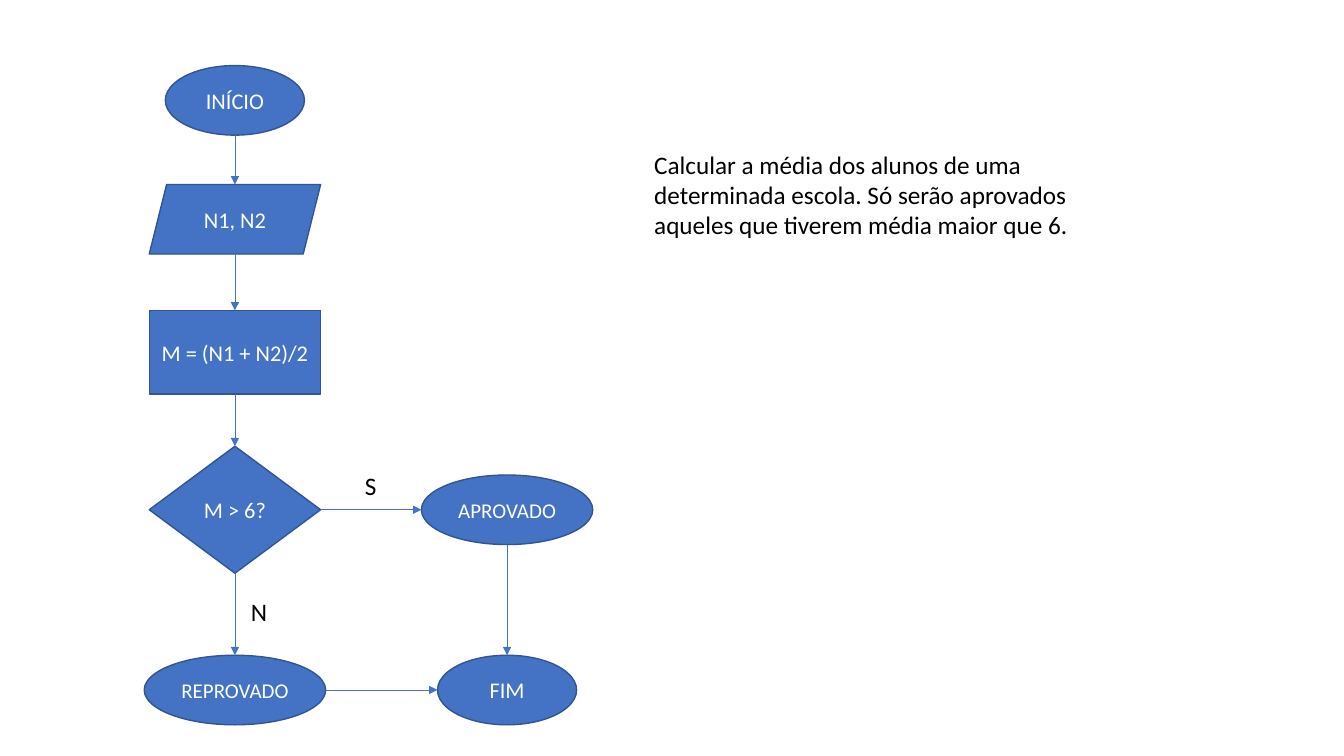
from lxml.etree import SubElement
from pptx import Presentation
from pptx.dml.color import RGBColor
from pptx.enum.shapes import MSO_CONNECTOR, MSO_SHAPE
from pptx.enum.text import MSO_ANCHOR, MSO_AUTO_SIZE, PP_ALIGN
from pptx.oxml.ns import qn
from pptx.util import Inches, Pt

BLUE = RGBColor(0x44, 0x72, 0xC4)
DARK_BLUE = RGBColor(0x32, 0x54, 0x91)
WHITE = RGBColor(0xFF, 0xFF, 0xFF)
BLACK = RGBColor(0x00, 0x00, 0x00)

TOP, LEFT, BOTTOM, RIGHT = range(4)
FOUR_SIDED = (MSO_SHAPE.RECTANGLE, MSO_SHAPE.DIAMOND)

LEFT_COLUMN, RIGHT_COLUMN = 17.48, 37.73
START_ROW, INPUT_ROW, AVERAGE_ROW, DECISION_ROW, END_ROW = 13.27, 29, 46.6, 67.43, 91.27
STEP_WIDTH, TERMINAL_WIDTH, FAILED_WIDTH = 12.75, 10.35, 13.5
STEP_HEIGHT, AVERAGE_HEIGHT, DECISION_HEIGHT = 9.2, 11.07, 16.8


class Flowchart:
    font_name = "Calibri"

    def __init__(self, presentation):
        self.width = presentation.slide_width
        self.height = presentation.slide_height
        self.slide = presentation.slides.add_slide(presentation.slide_layouts[6])

    def across(self, percent):
        return round(self.width * percent / 100)

    def down(self, percent):
        return round(self.height * percent / 100)

    def set_text(self, shape, text, size, color, alignment):
        paragraph = shape.text_frame.paragraphs[0]
        paragraph.text = text
        paragraph.alignment = alignment
        paragraph.font.name = self.font_name
        paragraph.font.size = Pt(size)
        paragraph.font.color.rgb = color

    def step(self, kind, text, column, row, width=STEP_WIDTH, height=STEP_HEIGHT, size=16):
        shape = self.slide.shapes.add_shape(
            kind,
            self.across(column - width / 2), self.down(row - height / 2),
            self.across(width), self.down(height),
        )
        shape.shadow.inherit = False
        shape.fill.solid()
        shape.fill.fore_color.rgb = BLUE
        shape.line.color.rgb = DARK_BLUE
        shape.line.width = Pt(1)
        shape.text_frame.word_wrap = False
        shape.text_frame.vertical_anchor = MSO_ANCHOR.MIDDLE
        self.set_text(shape, text, size, WHITE, PP_ALIGN.CENTER)
        return shape

    def side_point(self, shape, side):
        middle_x = shape.left + shape.width // 2
        middle_y = shape.top + shape.height // 2
        return {
            TOP: (middle_x, shape.top),
            LEFT: (shape.left, middle_y),
            BOTTOM: (middle_x, shape.top + shape.height),
            RIGHT: (shape.left + shape.width, middle_y),
        }[side]

    def arrow(self, source, source_side, target, target_side):
        connector = self.slide.shapes.add_connector(
            MSO_CONNECTOR.STRAIGHT,
            *self.side_point(source, source_side),
            *self.side_point(target, target_side),
        )
        if source.auto_shape_type in FOUR_SIDED:
            connector.begin_connect(source, source_side)
        if target.auto_shape_type in FOUR_SIDED:
            connector.end_connect(target, target_side)
        connector.line.color.rgb = BLUE
        connector.line.width = Pt(0.5)
        properties = connector._element.spPr
        SubElement(properties.find(qn("a:ln")), qn("a:tailEnd"), type="triangle")
        SubElement(properties, qn("a:effectLst"))

    def text(self, text, left, top, width, height, wrap=False):
        box = self.slide.shapes.add_textbox(
            self.across(left), self.down(top), self.across(width), self.down(height)
        )
        box.text_frame.word_wrap = wrap
        box.text_frame.auto_size = MSO_AUTO_SIZE.SHAPE_TO_FIT_TEXT
        self.set_text(box, text, 18, BLACK, PP_ALIGN.LEFT)


def main():
    presentation = Presentation()
    presentation.slide_width = Inches(13.33)
    presentation.slide_height = Inches(7.5)
    chart = Flowchart(presentation)

    start = chart.step(MSO_SHAPE.OVAL, "INÍCIO", LEFT_COLUMN, START_ROW, TERMINAL_WIDTH)
    grades = chart.step(MSO_SHAPE.PARALLELOGRAM, "N1, N2", LEFT_COLUMN, INPUT_ROW)
    average = chart.step(MSO_SHAPE.RECTANGLE, "M = (N1 + N2)/2", LEFT_COLUMN, AVERAGE_ROW,
                         height=AVERAGE_HEIGHT)
    decision = chart.step(MSO_SHAPE.DIAMOND, "M > 6?", LEFT_COLUMN, DECISION_ROW,
                          height=DECISION_HEIGHT)
    passed = chart.step(MSO_SHAPE.OVAL, "APROVADO", RIGHT_COLUMN, DECISION_ROW, size=15)
    failed = chart.step(MSO_SHAPE.OVAL, "REPROVADO", LEFT_COLUMN, END_ROW, FAILED_WIDTH, size=15)
    end = chart.step(MSO_SHAPE.OVAL, "FIM", RIGHT_COLUMN, END_ROW, TERMINAL_WIDTH)

    main_flow = (start, grades, average, decision, failed)
    for source, target in (*zip(main_flow, main_flow[1:]), (passed, end)):
        chart.arrow(source, BOTTOM, target, TOP)
    for source, target in ((decision, passed), (failed, end)):
        chart.arrow(source, RIGHT, target, LEFT)

    chart.text("S", 26.41, 61.6, 2.4, 5.33)
    chart.text("N", 17.93, 78.27, 2.7, 5.33)
    chart.text(
        "Calcular a média dos alunos de uma determinada escola. "
        "Só serão aprovados aqueles que tiverem média maior que 6.",
        47.94, 19.07, 33.83, 13.47, wrap=True,
    )
    presentation.save("out.pptx")


if __name__ == "__main__":
    main()
